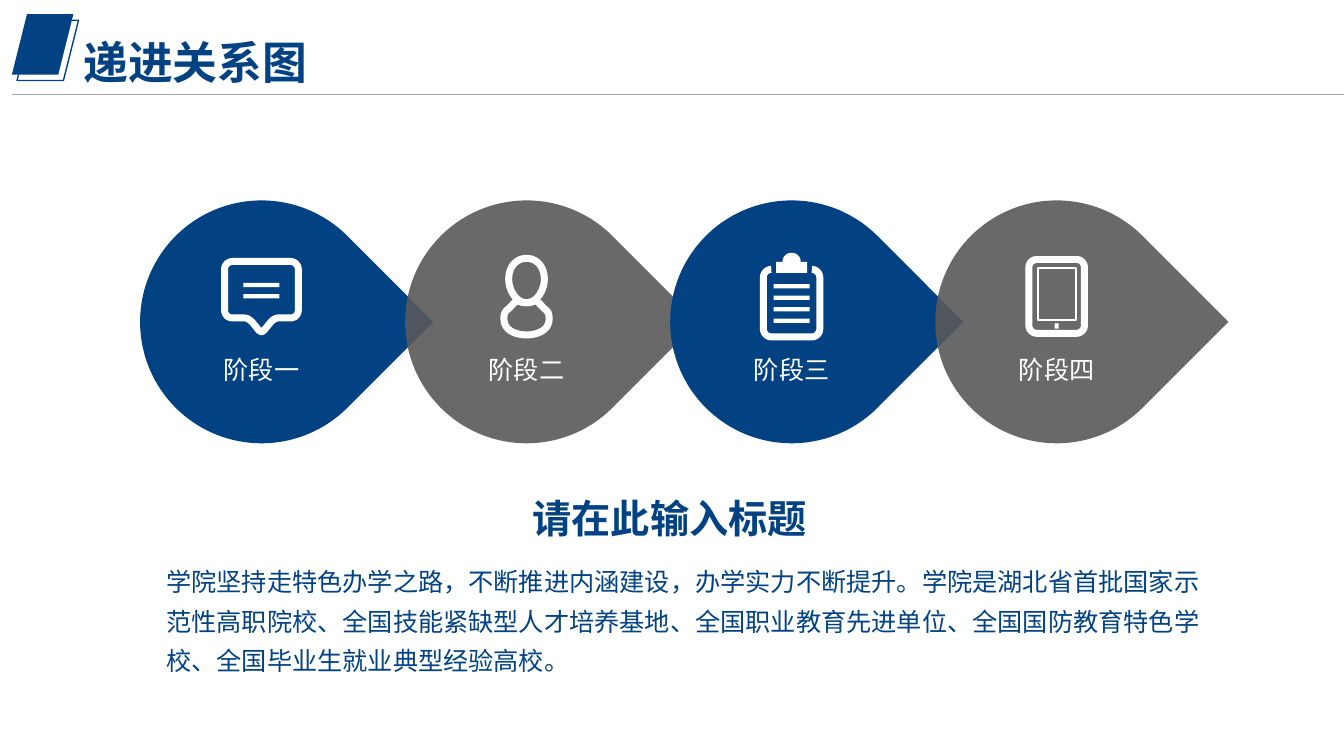
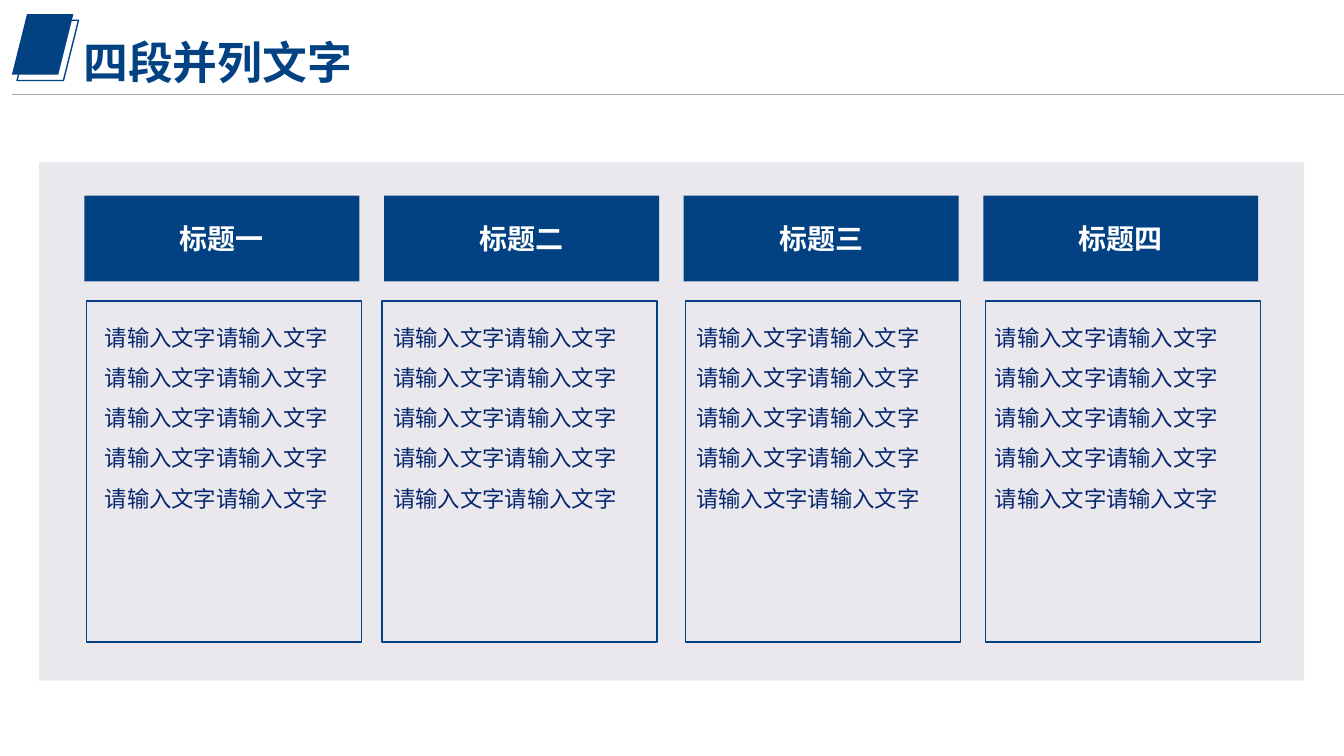
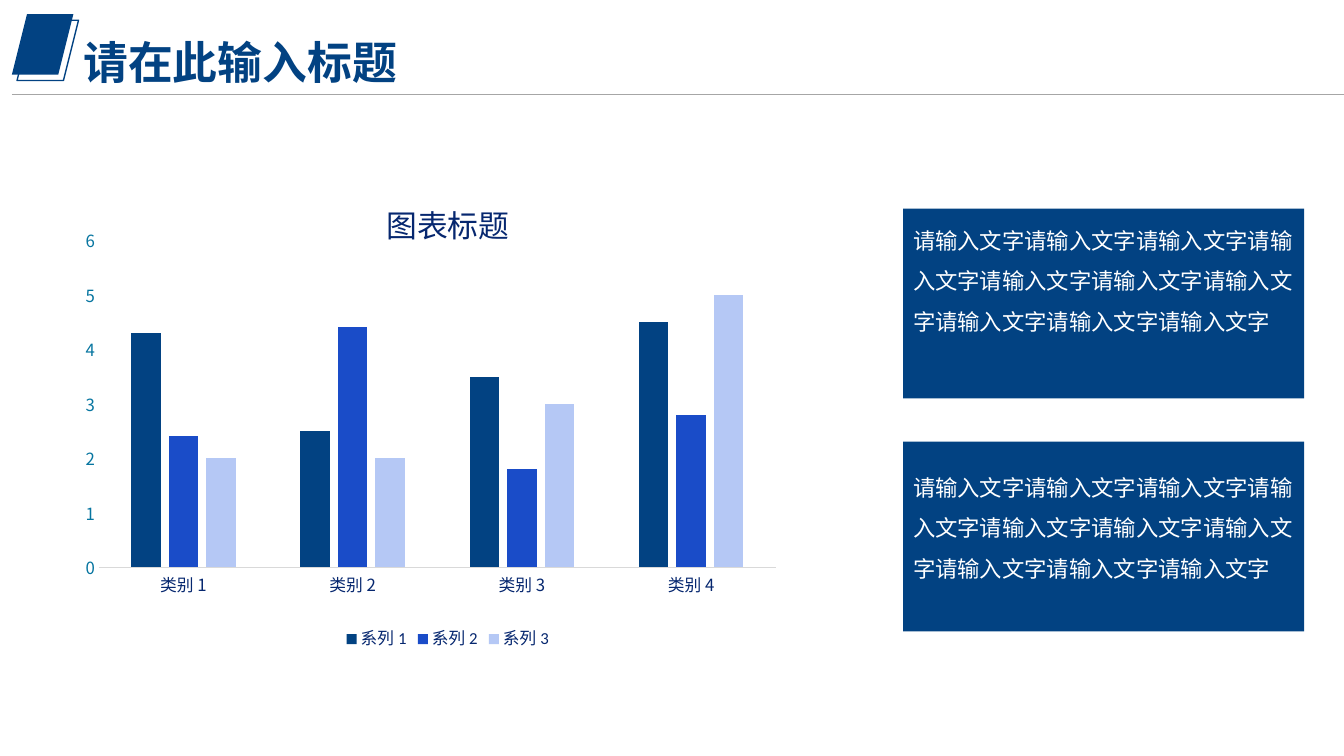
from dataclasses import dataclass
from typing import Optional

from lxml.etree import SubElement
from pptx import Presentation
from pptx.chart.data import CategoryChartData
from pptx.dml.color import RGBColor
from pptx.enum.chart import XL_CHART_TYPE as ChartType, XL_LEGEND_POSITION as LegendPosition
from pptx.enum.chart import XL_TICK_MARK as TickMark
from pptx.enum.shapes import MSO_CONNECTOR as Connector, MSO_SHAPE as Preset
from pptx.enum.text import MSO_ANCHOR as Anchor, PP_ALIGN as Align
from pptx.oxml import parse_xml
from pptx.oxml.ns import nsdecls, qn
from pptx.util import Cm, Pt

Point = tuple[float, float]


@dataclass(frozen=True)
class TextStyle:
    size: float
    color: str
    bold: bool = False
    spacing: float = 1.0


@dataclass(frozen=True)
class Theme:
    face: str = "Noto Sans CJK SC"
    chart_face: str = "Calibri"
    navy: str = "024282"
    ink: str = "06276F"
    teal: str = "0675A0"
    white: str = "FFFFFF"
    drop_gray: str = "595959"
    panel: str = "36254B"
    rule: str = "A6A6A6"
    axis: str = "D9D9D9"
    series: tuple[str, ...] = ("024282", "1A4CC8", "B5C8F5")
    title: TextStyle = TextStyle(32, "024282", True, 0.9)
    heading: TextStyle = TextStyle(28, "024282", True)
    body: TextStyle = TextStyle(18, "024282", spacing=1.3)
    stage: TextStyle = TextStyle(18, "FFFFFF")
    column_heading: TextStyle = TextStyle(20, "FFFFFF", True)
    column_text: TextStyle = TextStyle(16, "06276F", spacing=1.5)
    card_text: TextStyle = TextStyle(16, "FFFFFF", spacing=1.5)
    chart_title: float = 22
    chart_label: float = 12
    chart_base: float = 10


THEME = Theme()
PLACEHOLDER = "请输入文字"


@dataclass(frozen=True)
class Box:
    """Left, top, width and height in centimetres."""
    left: float
    top: float
    width: float
    height: float

    def lengths(self) -> tuple:
        return Cm(self.left), Cm(self.top), Cm(self.width), Cm(self.height)


@dataclass(frozen=True)
class Outline:
    """Right half of a symmetric outline, in cm from the centre of its drop.

    A step holds one point for a line and three for a cubic curve.
    A stroke of None fills the outline.
    """
    start: Point
    steps: tuple[tuple[Point, ...], ...]
    stroke: Optional[float] = 5


@dataclass(frozen=True)
class Bar:
    top: float
    width: float = 0.91
    height: float = 0.11


@dataclass(frozen=True)
class Stage:
    label: str
    fill: str
    opacity: int
    outlines: tuple[Outline, ...]
    bars: tuple[Bar, ...] = ()


@dataclass(frozen=True)
class Column:
    heading: str
    frame_left: float
    indent: float


@dataclass(frozen=True)
class Card:
    top: float
    text_gap: float


BUBBLE = Outline((0, -1.52), (
    ((0.73, -1.52),), ((0.84, -1.52), (0.93, -1.43), (0.93, -1.32)),
    ((0.93, -0.3),), ((0.93, -0.19), (0.85, -0.1), (0.75, -0.1)),
    ((0.46, -0.1),), ((0.35, -0.1), (0.28, -0.05), (0.2, 0.05)),
    ((0.1, 0.17), (0.05, 0.25), (0, 0.25))))
HEAD = Outline((0, -1.6), (
    ((0.28, -1.6), (0.45, -1.36), (0.45, -1.08)),
    ((0.45, -0.78), (0.25, -0.48), (0, -0.48))))
SHOULDERS = Outline((0, -0.48), (
    ((0.1, -0.48), (0.18, -0.5), (0.24, -0.55)), ((0.45, -0.33),),
    ((0.55, -0.26), (0.57, -0.2), (0.57, -0.07)),
    ((0.57, 0.2), (0.3, 0.33), (0, 0.33))))
BOARD = Outline((0.51, -1.32), (
    ((0.62, -1.32), (0.71, -1.23), (0.71, -1.12)), ((0.71, 0.18),),
    ((0.71, 0.29), (0.62, 0.38), (0.51, 0.38)), ((0, 0.38),)))
CLIP = Outline((0, -1.74), (
    ((0.13, -1.74), (0.23, -1.64), (0.23, -1.51)),
    ((0.39, -1.51),), ((0.39, -1.23),), ((0, -1.23),)), None)
TABLET = Outline((0, -1.57), (
    ((0.5, -1.57),), ((0.61, -1.57), (0.7, -1.48), (0.7, -1.37)),
    ((0.7, 0.09),), ((0.7, 0.2), (0.61, 0.29), (0.5, 0.29)), ((0, 0.29),)))
SCREEN = Outline((0, -1.36), (((0.48, -1.36),), ((0.48, -0.04),), ((0, -0.04),)), 1.5)

STAGES = (
    Stage("阶段一", THEME.navy, 100, (BUBBLE,), (Bar(-0.98), Bar(-0.7))),
    Stage("阶段二", THEME.drop_gray, 90, (HEAD, SHOULDERS)),
    Stage("阶段三", THEME.navy, 100, (BOARD, CLIP),
          tuple(Bar(-0.95 + 0.29 * row) for row in range(4))),
    Stage("阶段四", THEME.drop_gray, 90, (TABLET, SCREEN), (Bar(0.04, 0.1, 0.13),)),
)
COLUMNS = (
    Column("标题一", 2.18, 0.46),
    Column("标题二", 9.63, 0.28),
    Column("标题三", 17.27, 0.28),
    Column("标题四", 24.84, 0.23),
)
CARDS = (Card(5.26, 0.13), Card(11.13, 0.48))


def rgb(color: str) -> RGBColor:
    return RGBColor.from_string(color)


def set_font(font, size: float, color: str, face: str = THEME.face) -> None:
    font.size = Pt(size)
    font.color.rgb = rgb(color)
    font.name = face
    SubElement(font._rPr, qn("a:ea")).set("typeface", face)


def paint(shape, fill: Optional[str] = None, line: Optional[str] = None,
          weight: float = 1, opacity: int = 100) -> None:
    shape.shadow.inherit = False
    if fill:
        shape.fill.solid()
        shape.fill.fore_color.rgb = rgb(fill)
        if opacity < 100:
            color = shape.element.spPr.find(qn("a:solidFill"))[0]
            SubElement(color, qn("a:alpha")).set("val", str(opacity * 1000))
    else:
        shape.fill.background()
    if line:
        shape.line.color.rgb = rgb(line)
        shape.line.width = Pt(weight)
    else:
        shape.line.fill.background()


def add_preset(shapes, preset, box: Box, **look):
    shape = shapes.add_shape(preset, *box.lengths())
    paint(shape, **look)
    return shape


def write(shape, lines: list[str], style: TextStyle, align=Align.LEFT,
          anchor=Anchor.TOP, left: float = 0.25, top: float = 0.13) -> None:
    frame = shape.text_frame
    frame.word_wrap = True
    frame.vertical_anchor = anchor
    frame.margin_left, frame.margin_right = Cm(left), Cm(0.25)
    frame.margin_top, frame.margin_bottom = Cm(top), Cm(0.13)
    for index, line in enumerate(lines):
        paragraph = frame.add_paragraph() if index else frame.paragraphs[0]
        paragraph.alignment = align
        paragraph.line_spacing = style.spacing
        run = paragraph.add_run()
        run.text = line
        set_font(run.font, style.size, style.color)
        run.font.bold = style.bold


def add_text(shapes, box: Box, text: str, style: TextStyle, align=Align.LEFT) -> None:
    write(shapes.add_textbox(*box.lengths()), [text], style, align)


def move_header_to_layout(slide, layout) -> None:
    """Draw the header mark and rule once, on the layout all slides use."""
    for placeholder in list(layout.placeholders):
        layout.shapes.element.remove(placeholder.element)
    mark = add_preset(slide.shapes, Preset.PARALLELOGRAM, Box(0.3, 0.36, 1.55, 1.52),
                      fill=THEME.navy)
    echo = add_preset(slide.shapes, Preset.PARALLELOGRAM, Box(0.43, 0.51, 1.55, 1.52),
                      line=THEME.navy)
    rule = slide.shapes.add_connector(Connector.STRAIGHT, Cm(0.3), Cm(2.39), Cm(33.87), Cm(2.39))
    rule.line.color.rgb = rgb(THEME.rule)
    rule.line.width = Pt(0.5)
    SubElement(rule.element.spPr, qn("a:effectLst"))
    for part in (mark, echo, rule):
        layout.shapes.element.append(part.element)


def add_title(slide, title: str) -> None:
    add_text(slide.shapes, Box(1.85, 0.89, 14, 1.7), title, THEME.title)


def half_points(outline: Outline, samples: int = 10) -> list[Point]:
    points = [outline.start]
    for step in outline.steps:
        if len(step) == 1:
            points.append(step[0])
            continue
        corners = (points[-1], *step)
        for t in (n / samples for n in range(1, samples + 1)):
            weights = ((1 - t) ** 3, 3 * t * (1 - t) ** 2, 3 * t * t * (1 - t), t ** 3)
            points.append((sum(w * c[0] for w, c in zip(weights, corners)),
                           sum(w * c[1] for w, c in zip(weights, corners))))
    return points


def add_outline(shapes, outline: Outline, center: Point) -> None:
    half = half_points(outline)
    around = half + [(-x, y) for x, y in reversed(half)]
    placed = [(Cm(center[0] + x), Cm(center[1] + y)) for x, y in around]
    builder = shapes.build_freeform(*placed[0], scale=1.0)
    builder.add_line_segments(placed[1:], close=outline.start[0] == 0)
    shape = builder.convert_to_shape()
    if outline.stroke:
        paint(shape, line=THEME.white, weight=outline.stroke)
    else:
        paint(shape, fill=THEME.white)


def add_stage(slide, stage: Stage, left: float) -> None:
    size, top = 6.12, 5.05
    x, y = left + size / 2, top + size / 2
    shapes = slide.shapes.add_group_shape().shapes
    drop = add_preset(shapes, Preset.TEAR, Box(left, top, size, size),
                      fill=stage.fill, opacity=stage.opacity)
    drop.rotation = 45
    for outline in stage.outlines:
        add_outline(shapes, outline, (x, y))
    for bar in stage.bars:
        add_preset(shapes, Preset.RECTANGLE,
                   Box(x - bar.width / 2, y + bar.top, bar.width, bar.height), fill=THEME.white)
    add_text(shapes, Box(x - 2.17, 8.81, 4.34, 1.02), stage.label, THEME.stage, Align.CENTER)


def fill_progress(slide) -> None:
    add_title(slide, "递进关系图")
    for index, stage in enumerate(STAGES):
        add_stage(slide, stage, 3.53 + 6.68 * index)
    add_text(slide.shapes, Box(3.94, 13.92, 27.15, 3.18),
             "学院坚持走特色办学之路，不断推进内涵建设，办学实力不断提升。"
             "学院是湖北省首批国家示范性高职院校、全国技能紧缺型人才培养基地、"
             "全国职业教育先进单位、全国国防教育特色学校、全国毕业生就业典型经验高校。", THEME.body)
    add_text(slide.shapes, Box(11.73, 12.32, 10.29, 1.45), "请在此输入标题",
             THEME.heading, Align.CENTER)


def fill_columns(slide) -> None:
    add_title(slide, "四段并列文字")
    add_preset(slide.shapes, Preset.RECTANGLE, Box(0.99, 4.09, 31.88, 13.06),
               fill=THEME.panel, opacity=10)
    for index, column in enumerate(COLUMNS):
        heading = add_preset(slide.shapes, Preset.RECTANGLE,
                             Box(2.13 + 7.55 * index, 4.93, 6.93, 2.16), fill=THEME.navy)
        write(heading, [column.heading], THEME.column_heading, Align.CENTER, Anchor.MIDDLE)
        frame = add_preset(slide.shapes, Preset.RECTANGLE,
                           Box(column.frame_left, 7.59, 6.93, 8.59), line=THEME.navy)
        write(frame, [PLACEHOLDER * 2] * 5, THEME.column_text, left=column.indent, top=0.23)


def place_plot(chart, x: float, y: float, width: float, height: float) -> None:
    """Fix the inner plot area, in fractions of the chart."""
    area = chart.element.find(".//" + qn("c:plotArea"))
    for layout in area.findall(qn("c:layout")):
        area.remove(layout)
    area.insert(0, parse_xml(
        f'<c:layout {nsdecls("c")}><c:manualLayout><c:layoutTarget val="inner"/>'
        f'<c:xMode val="edge"/><c:yMode val="edge"/><c:x val="{x}"/><c:y val="{y}"/>'
        f'<c:w val="{width}"/><c:h val="{height}"/></c:manualLayout></c:layout>'))


def add_column_chart(slide) -> None:
    data = CategoryChartData()
    data.categories = [f"类别 {n}" for n in range(1, 5)]
    for n, values in enumerate(((4.3, 2.5, 3.5, 4.5), (2.4, 4.4, 1.8, 2.8), (2, 2, 3, 5)), 1):
        data.add_series(f"系列 {n}", values)
    chart = slide.shapes.add_chart(ChartType.COLUMN_CLUSTERED,
                                   *Box(1.85, 4.47, 18.87, 11.99).lengths(), data).chart
    set_font(chart.font, THEME.chart_base, "000000", THEME.chart_face)

    chart.has_title = True
    caption = chart.chart_title.text_frame.paragraphs[0].add_run()
    caption.text = "图表标题"
    set_font(caption.font, THEME.chart_title, THEME.ink)
    caption.font.bold = False

    chart.has_legend = True
    chart.legend.position = LegendPosition.BOTTOM
    chart.legend.include_in_layout = False
    set_font(chart.legend.font, THEME.chart_label, THEME.ink, THEME.chart_face)

    plot = chart.plots[0]
    plot.vary_by_categories = False
    plot.gap_width, plot.overlap = 219, -27
    for series, color in zip(plot.series, THEME.series):
        series.format.fill.solid()
        series.format.fill.fore_color.rgb = rgb(color)

    for axis, color in ((chart.category_axis, THEME.ink), (chart.value_axis, THEME.teal)):
        axis.major_tick_mark = axis.minor_tick_mark = TickMark.NONE
        axis.has_major_gridlines = False
        set_font(axis.tick_labels.font, THEME.chart_label, color)
    chart.category_axis.format.line.color.rgb = rgb(THEME.axis)
    chart.category_axis.format.line.width = Pt(0.75)
    values = chart.value_axis
    values.format.line.fill.background()
    values.minimum_scale, values.maximum_scale, values.major_unit = 0, 6, 1
    place_plot(chart, 0.034, 0.132, 0.904, 0.688)


def fill_chart(slide) -> None:
    add_title(slide, "请在此输入标题")
    add_column_chart(slide)
    for card in CARDS:
        shape = add_preset(slide.shapes, Preset.RECTANGLE, Box(22.76, card.top, 10.11, 4.78),
                           fill=THEME.navy)
        write(shape, [PLACEHOLDER * 10], THEME.card_text, top=card.text_gap)


def main() -> None:
    deck = Presentation()
    deck.slide_width, deck.slide_height = Cm(33.87), Cm(19.05)
    blank = deck.slide_layouts[6]
    for index, fill in enumerate((fill_progress, fill_columns, fill_chart)):
        slide = deck.slides.add_slide(blank)
        if index == 0:
            move_header_to_layout(slide, blank)
        fill(slide)
    deck.save("out.pptx")


if __name__ == "__main__":
    main()
